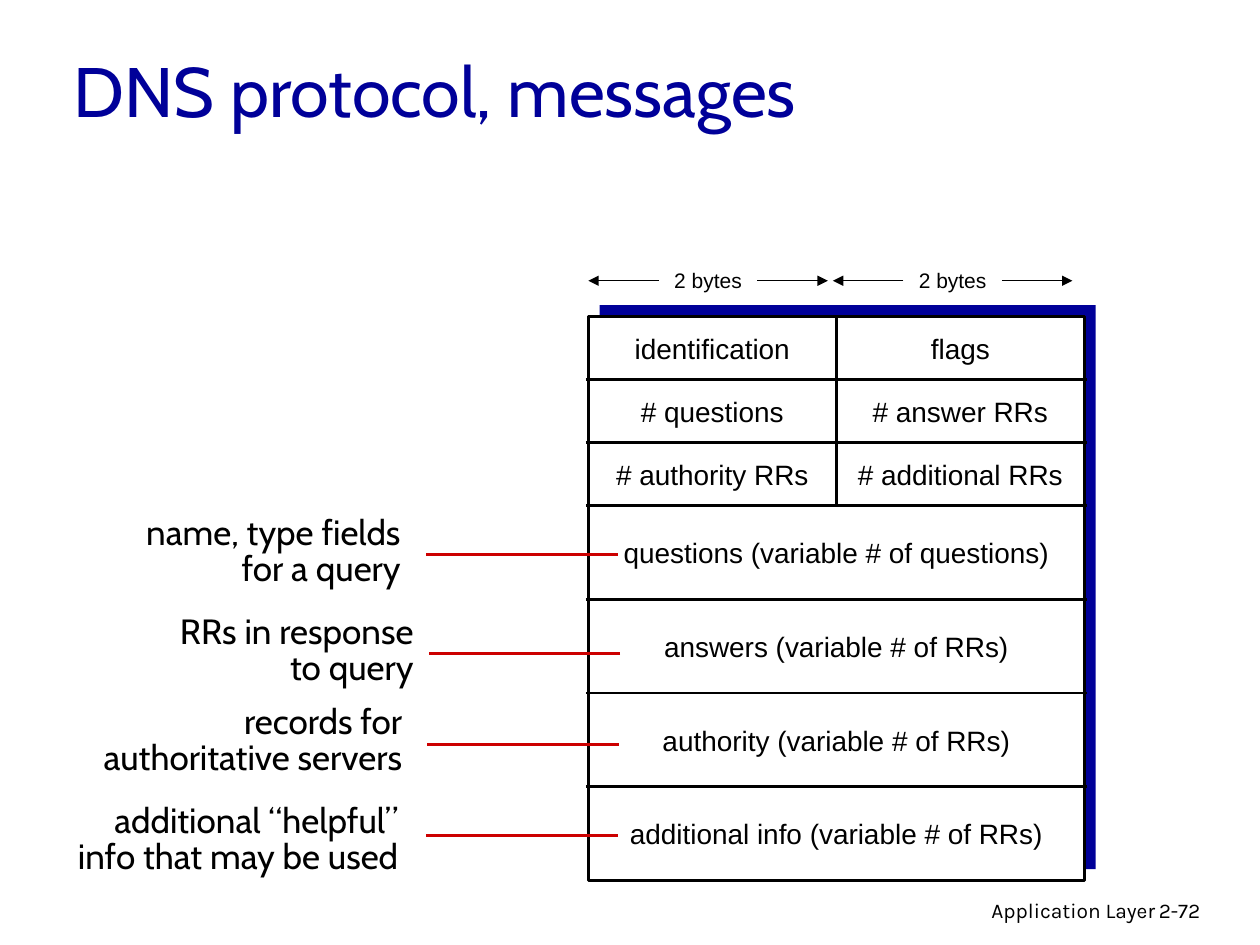
from lxml import etree
from pptx import Presentation
from pptx import util as u
from pptx.dml.color import RGBColor
from pptx.enum import shapes, text
from pptx.oxml.ns import qn

BLACK = RGBColor(0x00, 0x00, 0x00)
WHITE = RGBColor(0xFF, 0xFF, 0xFF)
NAVY = RGBColor(0x00, 0x00, 0x99)
RED = RGBColor(0xCC, 0x00, 0x00)

LEFT, CENTER, RIGHT = text.PP_ALIGN.LEFT, text.PP_ALIGN.CENTER, text.PP_ALIGN.RIGHT
TOP, MIDDLE = text.MSO_ANCHOR.TOP, text.MSO_ANCHOR.MIDDLE

# Row height in cm and the fields that share the row
MESSAGE_ROWS = [
    (1.27, ["identification", "flags"]),
    (1.27, ["# questions", "# answer RRs"]),
    (1.27, ["# authority RRs", "# additional RRs"]),
    (1.89, ["questions (variable # of questions)"]),
    (1.89, ["answers (variable # of RRs)"]),
    (1.89, ["authority (variable # of RRs)"]),
    (1.89, ["additional info (variable # of RRs)"]),
]

# Caption, its box (left, top, width) and the start of its pointer, in cm
CAPTIONS = [
    ("name, type fields\nfor a query", (2.16, 10.29, 6.17), (8.59, 11.18)),
    ("RRs in response\nto query", (2.57, 12.29, 6.02), (8.64, 13.18)),
    ("records for\nauthoritative servers", (0.97, 14.1, 7.39), (8.61, 15.01)),
    ("additional “helpful”\ninfo that may be used", (0.56, 16.1, 7.72), (8.59, 16.84)),
]


def add_label(parent, box, words, font, size, color=BLACK, align=LEFT,
              anchor=TOP, spacing=None):
    label = parent.shapes.add_textbox(*map(u.Cm, box))
    frame = label.text_frame
    frame.word_wrap = True
    frame.vertical_anchor = anchor
    frame.text = words
    for para in frame.paragraphs:
        para.alignment = align
        para.line_spacing = spacing
        for span in para.runs:
            span.font.name = font
            span.font.size = u.Pt(size)
            span.font.color.rgb = color


def add_line(parent, start, end, color=BLACK, width=1.5, arrow=False):
    line = parent.shapes.add_connector(
        shapes.MSO_CONNECTOR.STRAIGHT, *map(u.Cm, (*start, *end)))
    line.line.color.rgb = color
    line.line.width = u.Pt(width)
    if arrow:
        etree.SubElement(line.line._get_or_add_ln(), qn("a:tailEnd"), type="triangle")
    etree.SubElement(line._element.spPr, qn("a:effectLst"))


def add_panel(parent, box, fill, outline=None):
    panel = parent.shapes.add_shape(shapes.MSO_SHAPE.RECTANGLE, *map(u.Cm, box))
    panel.shadow.inherit = False
    panel.fill.solid()
    panel.fill.fore_color.rgb = fill
    if outline is None:
        panel.line.fill.background()
    else:
        panel.line.color.rgb = outline
        panel.line.width = u.Pt(1.5)


def add_message(page, left, top, width):
    """Draw the message format: offset backing, frame, row rules and fields."""
    group = page.shapes.add_group_shape()
    height = sum(row_height for row_height, _ in MESSAGE_ROWS)
    offset, overhang, label_height = 0.23, 0.05, 0.94
    add_panel(group, (left + offset, top - offset, width, height), NAVY)
    add_panel(group, (left, top, width, height), WHITE, BLACK)

    y = split_bottom = top
    for row_height, fields in MESSAGE_ROWS:
        if y > top:
            add_line(group, (left - overhang, y), (left + width + overhang, y))
        cell_width = width / len(fields)
        for column, field in enumerate(fields):
            label_top = y + (row_height - label_height) / 2
            add_label(group, (left + column * cell_width, label_top, cell_width, label_height),
                      field, "Arial", 16, align=CENTER, anchor=MIDDLE)
        y += row_height
        if len(fields) == 2:
            split_bottom = y
    add_line(group, (left + width / 2, top), (left + width / 2, split_bottom))


def add_byte_span(page, left, y, width):
    """Draw a width marker: arrows pointing outwards from a centred label."""
    group = page.shapes.add_group_shape()
    arrow = 1.42
    add_label(group, (left + arrow, y - 0.4, width - 2 * arrow, 0.76),
              "2 bytes", "Arial", 12, align=CENTER, anchor=MIDDLE)
    add_line(group, (left + width - arrow, y), (left + width, y), width=0.75, arrow=True)
    add_line(group, (left + arrow, y), (left, y), width=0.75, arrow=True)


def add_caption(page, words, box, pointer_start):
    add_label(page, (*box, 1.7), words, "Cabin", 20,
              align=RIGHT, anchor=MIDDLE, spacing=0.85)
    x, y = pointer_start
    add_line(page, (x + 3.86, y), (x, y), RED)


def add_footer(page, left, top):
    add_label(page, (left, top, 8.05, 0.79), "Application Layer", "Karla", 12, align=RIGHT)
    add_label(page, (left + 7.62, top, 1.88, 0.76), "2-72", "Karla", 12)


def main():
    deck = Presentation()
    deck.slide_width, deck.slide_height = u.Cm(25.4), u.Cm(19.05)
    page = deck.slides.add_slide(deck.slide_layouts[6])
    add_footer(page, 15.49, 17.96)
    add_message(page, 11.86, 6.38, 10)
    for caption in CAPTIONS:
        add_caption(page, *caption)
    add_label(page, (1.24, 0.61, 21.59, 2.39), "DNS protocol, messages",
              "Cabin", 40, NAVY, anchor=MIDDLE)
    for column in range(2):
        add_byte_span(page, 11.86 + column * 4.93, 5.66, 4.83)
    deck.save("out.pptx")


if __name__ == "__main__":
    main()
